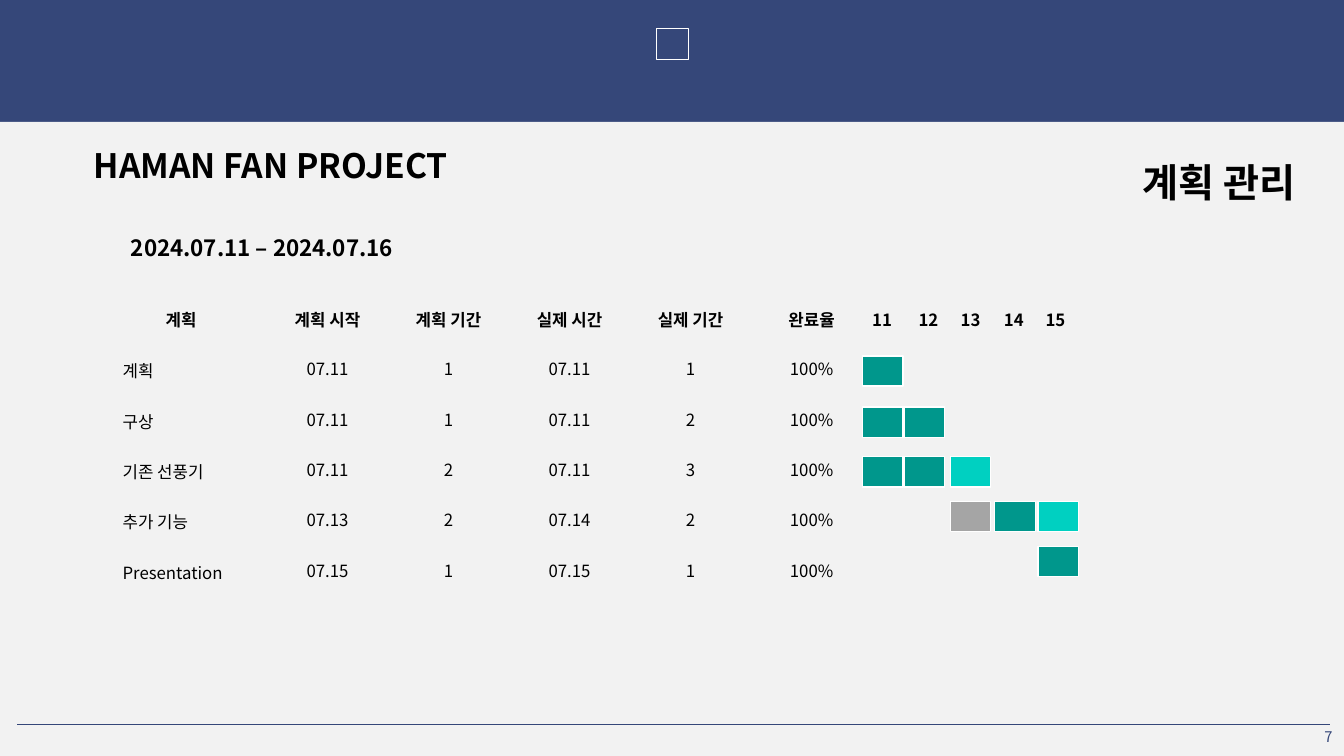
import pptx
import pptx.util
import pptx.dml.color
import pptx.enum.shapes
import pptx.enum.text
import pptx.oxml
import pptx.oxml.ns

Cm, Pt = pptx.util.Cm, pptx.util.Pt
ALIGN = pptx.enum.text.PP_ALIGN
RECT = pptx.enum.shapes.MSO_SHAPE.RECTANGLE
LINE = pptx.enum.shapes.MSO_CONNECTOR.STRAIGHT
FONT = "Noto Sans CJK KR"
COLORS = {"navy": "354779", "pale": "F2F2F2", "white": "FFFFFF",
          "black": "000000", "teal": "00978C", "aqua": "00D0C1",
          "gray": "A5A5A5"}

HEADS = ["계획 시작", "계획 기간", "실제 시간", "실제 기간", "완료율"]
DAYS = ["11", "12", "13", "14", "15"]
TASKS = [
    ("계획", ["07.11", "1", "07.11", "1", "100%"]),
    ("구상", ["07.11", "1", "07.11", "2", "100%"]),
    ("기존 선풍기", ["07.11", "2", "07.11", "3", "100%"]),
    ("추가 기능", ["07.13", "2", "07.14", "2", "100%"]),
    ("Presentation", ["07.15", "1", "07.15", "1", "100%"]),
]
# Colour of each day's bar, by task
BARS = [
    {0: "teal"},
    {0: "teal", 1: "teal"},
    {0: "teal", 1: "teal", 2: "aqua"},
    {2: "gray", 3: "teal", 4: "aqua"},
    {4: "teal"},
]


def color(name):
    return pptx.dml.color.RGBColor.from_string(COLORS[name])


def add_text(slide, x, y, w, h, text, size=12, bold=False,
             align=ALIGN.LEFT, ink="black"):
    box = slide.shapes.add_textbox(Cm(x), Cm(y), Cm(w), Cm(h))
    frame = box.text_frame
    frame.word_wrap = True
    frame.auto_size = pptx.enum.text.MSO_AUTO_SIZE.SHAPE_TO_FIT_TEXT
    frame.text = text
    para = frame.paragraphs[0]
    para.alignment = align
    font = para.runs[0].font
    font.name, font.size, font.bold = FONT, Pt(size), bold
    font.color.rgb = color(ink)
    # Korean glyphs take the East Asian font
    east = pptx.oxml.parse_xml(
        f'<a:ea {pptx.oxml.ns.nsdecls("a")} typeface="{FONT}"/>')
    para.runs[0].font._element.append(east)
    return frame


def add_rect(slide, x, y, w, h, fill=None, line=None, width=1):
    rect = slide.shapes.add_shape(RECT, Cm(x), Cm(y), Cm(w), Cm(h))
    rect.shadow.inherit = False
    if fill:
        rect.fill.solid()
        rect.fill.fore_color.rgb = color(fill)
    else:
        rect.fill.background()
    if line:
        rect.line.color.rgb = color(line)
        rect.line.width = Pt(width)
    else:
        rect.line.fill.background()


def add_frame(slide, w, h):
    # Navy band above a pale page
    slide.background.fill.solid()
    slide.background.fill.fore_color.rgb = color("navy")
    add_rect(slide, 0, 3.07, w, h - 3.07, "pale")
    # Plain emblem
    add_rect(slide, w / 2 - 0.4, 0.7, 0.8, 0.8, line="white", width=0.25)
    # Footer rule and page number
    rule = slide.shapes.add_connector(
        LINE, Cm(0.43), Cm(h - 0.81), Cm(w - 0.34), Cm(h - 0.81))
    rule.line.color.rgb = color("navy")
    rule.line.width = Pt(0.25)
    rule._element.spPr.append(pptx.oxml.parse_xml(
        f'<a:effectLst {pptx.oxml.ns.nsdecls("a")}/>'))
    frame = add_text(slide, w - 7.89, h - 0.71, 7.6, 0.46, "7", 10.5,
                     align=ALIGN.RIGHT, ink="navy")
    frame.margin_left = frame.margin_right = 0
    frame.margin_top = frame.margin_bottom = 0
    frame.vertical_anchor = pptx.enum.text.MSO_ANCHOR.MIDDLE


def add_titles(slide, x, y, w):
    add_text(slide, x, y, 9.8, 2.29, "HAMAN FAN PROJECT", 24, True)
    add_text(slide, x + 0.94, y + 2.24, 10.34, 0.94,
             "2024.07.11 – 2024.07.16", 16, True)
    add_text(slide, x + w - 6.45, y + 0.33, 6.45, 1.42, "계획 관리", 28, True,
             ALIGN.RIGHT)


def add_plan(slide, x, y):
    wide, high, step = 2.49, 0.74, 1.27
    cols = [x + 4.17 + 3.05 * i for i in range(len(HEADS))]
    # Header row
    add_text(slide, x + 0.48, y, wide, high, "계획", 12, True, ALIGN.CENTER)
    for left, head in zip(cols, HEADS):
        add_text(slide, left, y, wide, high, head, 12, True, ALIGN.CENTER)
    # Task rows
    for i, (name, cells) in enumerate(TASKS):
        top = y + 1.25 + step * i
        add_text(slide, x, top + 0.05, 3.45, high, name)
        for left, cell in zip(cols, cells):
            add_text(slide, left, top, wide, high, cell, align=ALIGN.CENTER)


def add_gantt(slide, x, y):
    wide, high = 1.02, 0.76
    heads = [0, 1.17, 2.23, 3.32, 4.37]
    cols = [0.02, 1.06, 2.23, 3.35, 4.44]
    rows = [1.3, 2.59, 3.84, 4.97, 6.1]
    # Day labels
    for left, day in zip(heads, DAYS):
        add_text(slide, x + left, y, wide, high, day, 12, True, ALIGN.CENTER)
    # Bars
    for top, bars in zip(rows, BARS):
        for day, fill in bars.items():
            add_rect(slide, x + cols[day], y + top, wide, high, fill, "white")


def main():
    deck = pptx.Presentation()
    deck.slide_width, deck.slide_height = Cm(33.87), Cm(19.05)
    slide = deck.slides.add_slide(deck.slide_layouts[6])
    add_frame(slide, 33.87, 19.05)
    add_titles(slide, 2.11, 3.53, 30.78)
    add_plan(slide, 2.84, 7.67)
    add_gantt(slide, 21.72, 7.67)
    deck.save("out.pptx")


if __name__ == "__main__":
    main()
